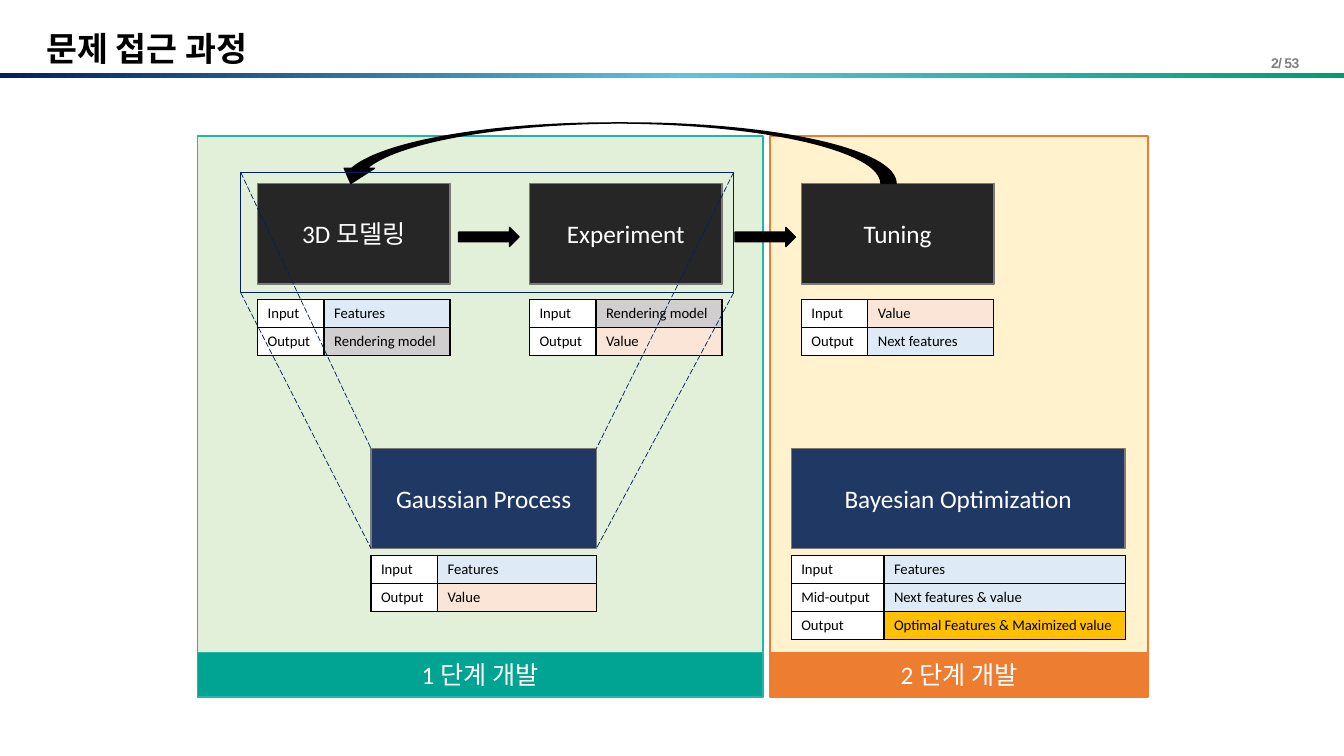
from copy import deepcopy
from pptx import Presentation
from pptx.dml.color import RGBColor
from pptx.enum.dml import MSO_LINE
from pptx.enum.shapes import MSO_CONNECTOR, MSO_SHAPE
from pptx.enum.text import MSO_ANCHOR, PP_ALIGN
from pptx.oxml.ns import qn
from pptx.util import Pt
from lxml import etree

RECT = MSO_SHAPE.RECTANGLE
RIGHT_ARROW = MSO_SHAPE.RIGHT_ARROW
CURVED_ARROW = MSO_SHAPE.CURVED_RIGHT_ARROW
STRAIGHT = MSO_CONNECTOR.STRAIGHT
LONG_DASH = MSO_LINE.LONG_DASH
MIDDLE = MSO_ANCHOR.MIDDLE
CENTER = PP_ALIGN.CENTER

THEME = {
    "black": "000000", "white": "FFFFFF", "gray": "808080", "edge": "7A7A7A",
    "navy": "002060", "stage": "262626", "method": "203864",
    "green": "E2F0D9", "green_edge": "1FB7A8", "green_band": "01A493",
    "cream": "FFF2CC", "orange": "ED7D31",
    "features": "DEEBF7", "model": "D0CECE", "value": "FBE5D6", "optimal": "FFC000",
    "gradient": [(0, "002060"), (0.51, "5EC4D8"), (1, "009C75")],
    "heading": "Arial", "body": "Calibri",
    "title_size": 24, "box_size": 18, "table_size": 10.5, "page_size": 10,
}


def color(name):
    return RGBColor.from_string(THEME[name])


def add_box(kind, x, y, w, h, fill, line, text=""):
    sp = slide.shapes.add_shape(kind, Pt(x), Pt(y), Pt(w), Pt(h))
    sp.shadow.inherit = False
    if fill:
        sp.fill.solid()
        sp.fill.fore_color.rgb = color(fill)
    else:
        sp.fill.background()
    sp.line.color.rgb = color(line)
    sp.line.width = Pt(1)
    if text:
        tf = sp.text_frame
        tf.text = text
        tf.vertical_anchor = MIDDLE
        p = tf.paragraphs[0]
        p.alignment = CENTER
        font = p.runs[0].font
        font.name = THEME["body"]
        font.size = Pt(THEME["box_size"])
        font.color.rgb = color("white")
    return sp


prs = Presentation()
prs.slide_width, prs.slide_height = Pt(960), Pt(540)
slide = prs.slides.add_slide(prs.slide_layouts[6])

bar = slide.shapes.add_shape(RECT, Pt(0), Pt(51.8), Pt(960), Pt(3.6))
bar.shadow.inherit = False
bar.line.fill.background()
bar.fill.gradient()
bar.fill.gradient_angle = 0
stops = bar.fill.gradient_stops
gs_list = bar._element.spPr.find(qn("a:gradFill")).find(qn("a:gsLst"))
gs_list.insert(1, deepcopy(gs_list[0]))
stops = bar.fill.gradient_stops
for stop, (position, rgb) in zip(stops, THEME["gradient"]):
    stop.position = position
    stop.color.rgb = RGBColor.from_string(rgb)

headings = [
    ("문제 접근 과정", 26, 14.4, 764, 43.2, "title_size", "black", None, 0.9),
    ("2/ 53", 895.7, 31.7, 44.6, 23, "page_size", "gray", CENTER, 1.3),
]
for text, x, y, w, h, size, ink, align, spacing in headings:
    tb = slide.shapes.add_textbox(Pt(x), Pt(y), Pt(w), Pt(h))
    tf = tb.text_frame
    tf.word_wrap = True
    tf.text = text
    tf.vertical_anchor = MIDDLE
    p = tf.paragraphs[0]
    p.alignment = align
    p.line_spacing = spacing
    r = p.runs[0]
    r.font.name = THEME["heading"]
    r.font.size = Pt(THEME[size])
    r.font.bold = True
    r.font.color.rgb = color(ink)
    if align == CENTER:
        r._r.get_or_add_rPr().set("spc", "-50")

phases = [
    ("1 단계 개발", 141, 404, "green", "green_edge", "green_band"),
    ("2 단계 개발", 550, 270, "cream", "orange", "orange"),
]
for text, x, w, fill, edge, band in phases:
    add_box(RECT, x, 97.2, w, 368.8, fill, edge)
    add_box(RECT, x, 466, w, 32, band, edge, text)

stages = [
    ("3D 모델링", [("Input", "Features", "features"), ("Output", "Rendering model", "model")]),
    ("Experiment", [("Input", "Rendering model", "model"), ("Output", "Value", "value")]),
    ("Tuning", [("Input", "Value", "value"), ("Output", "Next features", "features")]),
]
methods = [
    ("Gaussian Process", 265, 161, 47.5,
     [("Input", "Features", "features"), ("Output", "Value", "value")]),
    ("Bayesian Optimization", 565.2, 238.5, 66.2,
     [("Input", "Features", "features"), ("Mid-output", "Next features & value", "features"),
      ("Output", "Optimal Features & Maximized value", "optimal")]),
]
blocks = [(text, 184 + 194.2 * i, 131, 137.5, 72, "stage", 214.2, 47.5, rows)
          for i, (text, rows) in enumerate(stages)]
blocks += [(text, x, 320.4, w, 71.3, "method", 397, key_w, rows)
           for text, x, w, key_w, rows in methods]

for text, x, y, w, h, fill, table_y, key_w, rows in blocks:
    add_box(RECT, x, y, w, h, fill, "edge", text)
    frame = slide.shapes.add_table(len(rows), 2, Pt(x), Pt(table_y), Pt(w), Pt(20 * len(rows)))
    table = frame.table
    table.first_row = table.horz_banding = False
    table.columns[0].width = Pt(key_w)
    table.columns[1].width = Pt(w - key_w)
    for i, (key, content, tint) in enumerate(rows):
        for j, (label, cell_fill) in enumerate([(key, "white"), (content, tint)]):
            cell = table.cell(i, j)
            cell.text_frame.text = label
            font = cell.text_frame.paragraphs[0].runs[0].font
            font.name = THEME["body"]
            font.size = Pt(THEME["table_size"])
            font.color.rgb = color("black")
            tc_pr = cell._tc.get_or_add_tcPr()
            for side in ("a:lnL", "a:lnR", "a:lnT", "a:lnB"):
                ln = etree.SubElement(tc_pr, qn(side), w=str(Pt(1)))
                solid = etree.SubElement(ln, qn("a:solidFill"))
                etree.SubElement(solid, qn("a:srgbClr"), val=THEME["black"])
            cell.fill.solid()
            cell.fill.fore_color.rgb = color(cell_fill)

feedback = add_box(CURVED_ARROW, 418.3, -90.7, 43.2, 400.3, "black", "black")
feedback.rotation = 90
for x in (327.6, 525):
    add_box(RIGHT_ARROW, x, 162.4, 43.2, 13.7, "black", "black")
add_box(RECT, 172, 123.2, 352, 86, None, "navy")

for x1, x2 in ((172, 265), (524, 426)):
    for y1, y2 in ((123.2, 320.4), (209.2, 391.7)):
        guide = slide.shapes.add_connector(STRAIGHT, Pt(x1), Pt(y1), Pt(x2), Pt(y2))
        guide.line.color.rgb = color("navy")
        guide.line.width = Pt(0.5)
        guide.line.dash_style = LONG_DASH
        etree.SubElement(guide._element.spPr, qn("a:effectLst"))

prs.save("out.pptx")
